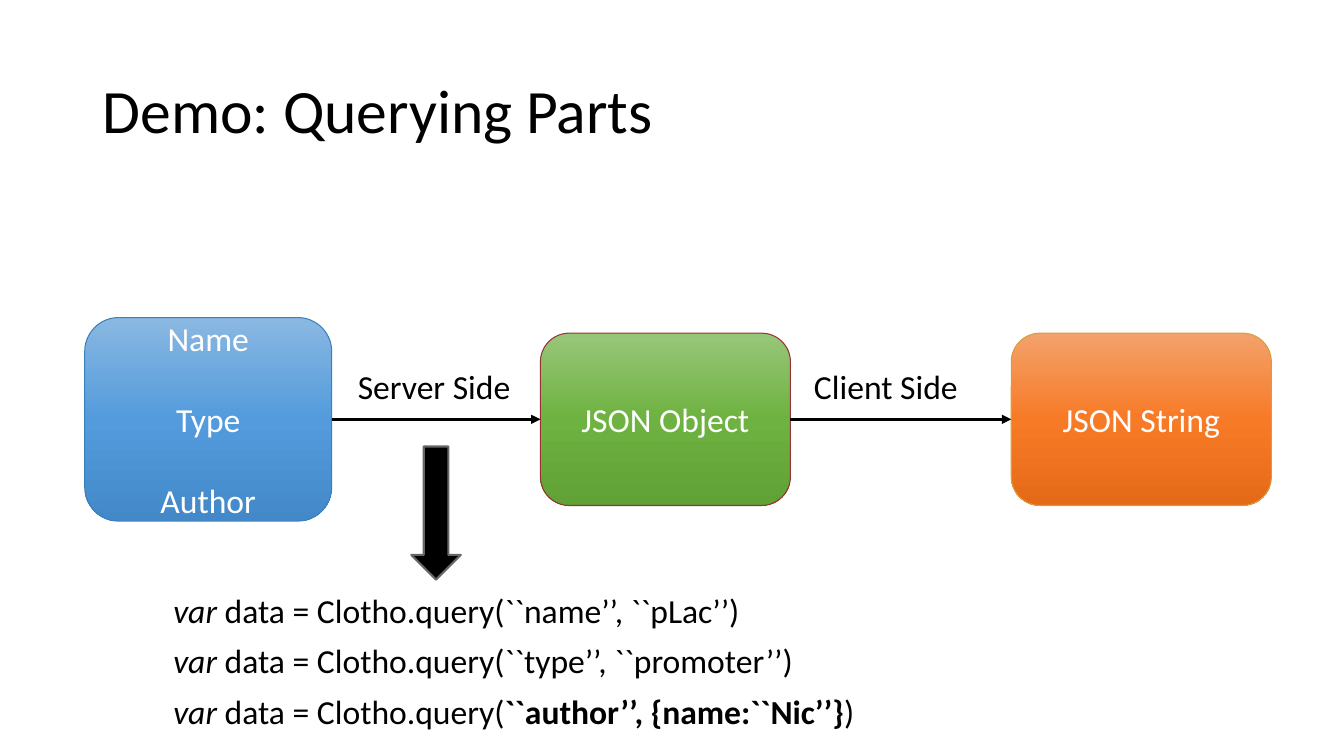
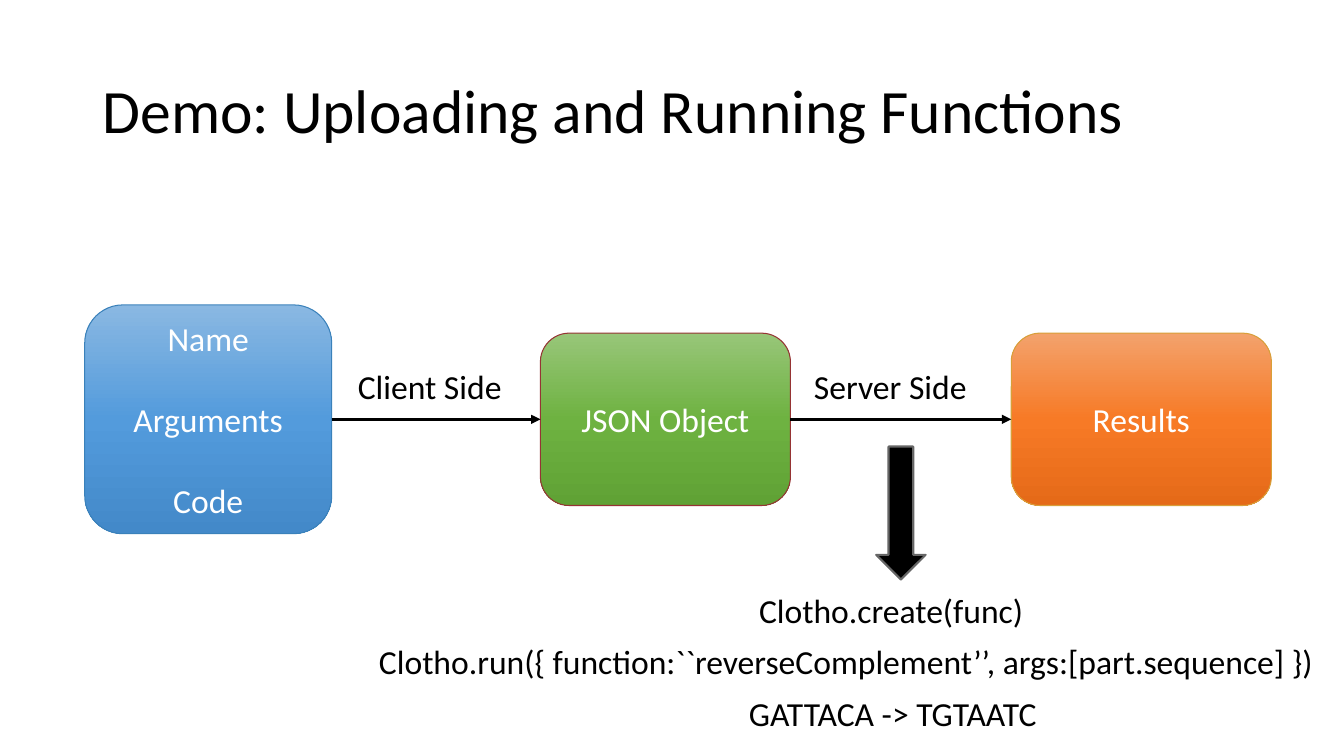
"""Build two demo slides that show how data flows between client and server."""
from copy import deepcopy

from pptx import Presentation
from pptx.dml.color import RGBColor
from pptx.enum.shapes import MSO_CONNECTOR, MSO_SHAPE
from pptx.enum.text import MSO_ANCHOR, PP_ALIGN
from pptx.oxml.ns import qn
from pptx.oxml.xmlchemy import OxmlElement
from pptx.util import Inches, Pt

FONT = "Calibri"
TITLE_SIZE, BODY_SIZE, ITEM_GAP = 44, 24, 29
COLORS = {"text": "000000", "box_text": "FFFFFF", "arrow_edge": "666666"}

AXIS = 4.16
TITLE_AREA = (0.92, 0.4, 11.5, 1.45)
BOX_HEIGHT = 1.71
STAGES = [
    {"left": 0.84, "width": 2.45, "stops": ("8AB8E2", "539BDC", "4389C9"), "line": "3A81BA"},
    {"left": 5.36, "width": 2.48, "stops": ("98C679", "6EB241", "60A235"), "line": "963334"},
    {"left": 10.03, "width": 2.58, "stops": ("F3A26C", "F77A26", "E56A18"), "line": "D89F39"},
]
LABEL_TOP, LABEL_WIDTHS, LINE_HEIGHT = 3.53, (1.75, 1.92), 0.63
ARROW_TOP, ARROW_WIDTH, ARROW_HEIGHT = 4.43, 0.49, 1.32
CODE_TOP = ARROW_TOP + ARROW_HEIGHT

SLIDES = [
    {
        "title": "Demo: Querying Parts",
        "stages": [["Name", "Type", "Author"], ["JSON Object"], ["JSON String"]],
        "first_height": 2.02,
        "labels": ["Server Side", "Client Side"],
        "arrow_gap": 0,
        "code_pitch": 0.5,
        "code": [
            (1.62, 6.08, [("var", "i"), (" data = Clotho.query(``name’’, ``pLac’’)", "")]),
            (1.62, 6.38, [("var", "i"), (" data = Clotho.query(``type’’, ``promoter’’)", "")]),
            (1.62, 7.01, [("var", "i"), (" data = Clotho.query(", ""),
                          ("``author’’, {name:``Nic’’}", "b"), (")", "")]),
        ],
    },
    {
        "title": "Demo: Uploading and Running Functions",
        "stages": [["Name", "Arguments", "Code"], ["JSON Object"], ["Results"]],
        "first_height": 2.27,
        "labels": ["Client Side", "Server Side"],
        "arrow_gap": 1,
        "code_pitch": 0.51,
        "code": [
            (7.43, 3.0, [("Clotho.create(func)", "")]),
            (3.66, 9.68, [("Clotho.run({ function:``reverseComplement’’, "
                           "args:[part.sequence] })", "")]),
            (7.33, 3.21, [("GATTACA -> TGTAATC", "")]),
        ],
    },
]


def color(value):
    return RGBColor.from_string(value)


def style_font(paragraph, size, value):
    paragraph.font.name = FONT
    paragraph.font.size = Pt(size)
    paragraph.font.color.rgb = color(value)


def add_text(page, area, spans, size=BODY_SIZE, inset=0.1):
    box = page.shapes.add_textbox(*map(Inches, area))
    frame = box.text_frame
    frame.word_wrap = True
    frame.margin_top = frame.margin_bottom = Inches(inset)
    paragraph = frame.paragraphs[0]
    style_font(paragraph, size, COLORS["text"])
    for text, style in spans:
        span = paragraph.add_run()
        span.text = text
        if style:
            span.font.italic = style == "i"
            span.font.bold = style == "b"
    return frame


def add_title(page, text):
    frame = add_text(page, TITLE_AREA, [(text, "")], TITLE_SIZE, 0.05)
    frame.vertical_anchor = MSO_ANCHOR.MIDDLE
    frame.paragraphs[0].line_spacing = 0.9


def fill_gradient(shape, values):
    shape.fill.gradient()
    shape.fill.gradient_angle = 270
    stop_list = shape.element.spPr.find(".//" + qn("a:gsLst"))
    stop_list.append(deepcopy(stop_list[0]))
    for index, (stop, value) in enumerate(zip(shape.fill.gradient_stops, values)):
        stop.position = index / (len(values) - 1)
        stop.color.rgb = color(value)


def add_stage(page, stage, items, height):
    area = (stage["left"], AXIS - height / 2, stage["width"], height)
    box = page.shapes.add_shape(MSO_SHAPE.ROUNDED_RECTANGLE, *map(Inches, area))
    box.shadow.inherit = False
    fill_gradient(box, stage["stops"])
    box.line.color.rgb = color(stage["line"])
    box.line.width = Pt(0.75)
    frame = box.text_frame
    frame.word_wrap = True
    frame.vertical_anchor = MSO_ANCHOR.MIDDLE
    for index, item in enumerate(items):
        paragraph = frame.add_paragraph() if index else frame.paragraphs[0]
        paragraph.text = item
        paragraph.alignment = PP_ALIGN.CENTER
        paragraph.space_before = Pt(ITEM_GAP if index else 0)
        style_font(paragraph, BODY_SIZE, COLORS["box_text"])
    return box


def join_stages(page, start, end):
    line = page.shapes.add_connector(MSO_CONNECTOR.STRAIGHT, 0, 0, 0, 0)
    line.begin_connect(start, 3)
    line.end_connect(end, 1)
    line.line.color.rgb = color(COLORS["text"])
    line.line.width = Pt(2.25)
    tail = OxmlElement("a:tailEnd")
    tail.set("type", "triangle")
    line.line._get_or_add_ln().append(tail)
    line.element.spPr.append(OxmlElement("a:effectLst"))


def add_down_arrow(page, center):
    area = (center - ARROW_WIDTH / 2, ARROW_TOP, ARROW_WIDTH, ARROW_HEIGHT)
    arrow = page.shapes.add_shape(MSO_SHAPE.DOWN_ARROW, *map(Inches, area))
    arrow.shadow.inherit = False
    arrow.fill.solid()
    arrow.fill.fore_color.rgb = color(COLORS["text"])
    arrow.line.color.rgb = color(COLORS["arrow_edge"])
    arrow.line.width = Pt(1.5)


def build_slide(deck, content):
    page = deck.slides.add_slide(deck.slide_layouts[6])
    add_title(page, content["title"])
    heights = (content["first_height"], BOX_HEIGHT, BOX_HEIGHT)
    boxes = [add_stage(page, *parts) for parts in zip(STAGES, content["stages"], heights)]
    centers = [(a["left"] + a["width"] + b["left"]) / 2 for a, b in zip(STAGES, STAGES[1:])]
    for start, end in zip(boxes, boxes[1:]):
        join_stages(page, start, end)
    for center, width, label in zip(centers, LABEL_WIDTHS, content["labels"]):
        add_text(page, (center - width / 2, LABEL_TOP, width, LINE_HEIGHT), [(label, "")])
    add_down_arrow(page, centers[content["arrow_gap"]])
    for row, (left, width, spans) in enumerate(content["code"]):
        top = CODE_TOP + row * content["code_pitch"]
        add_text(page, (left, top, width, LINE_HEIGHT), spans)


def main():
    deck = Presentation()
    deck.slide_width, deck.slide_height = Inches(13.33), Inches(7.5)
    for content in SLIDES:
        build_slide(deck, content)
    deck.save("out.pptx")


if __name__ == "__main__":
    main()
